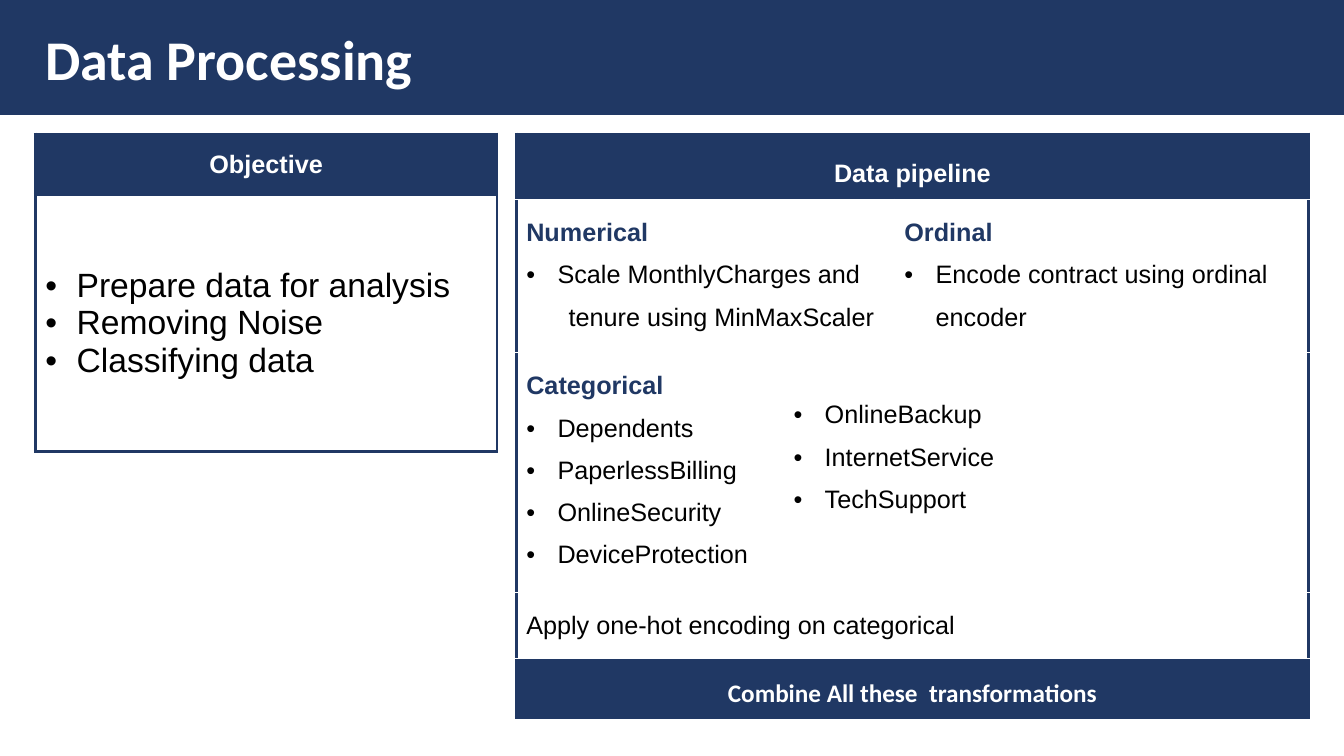
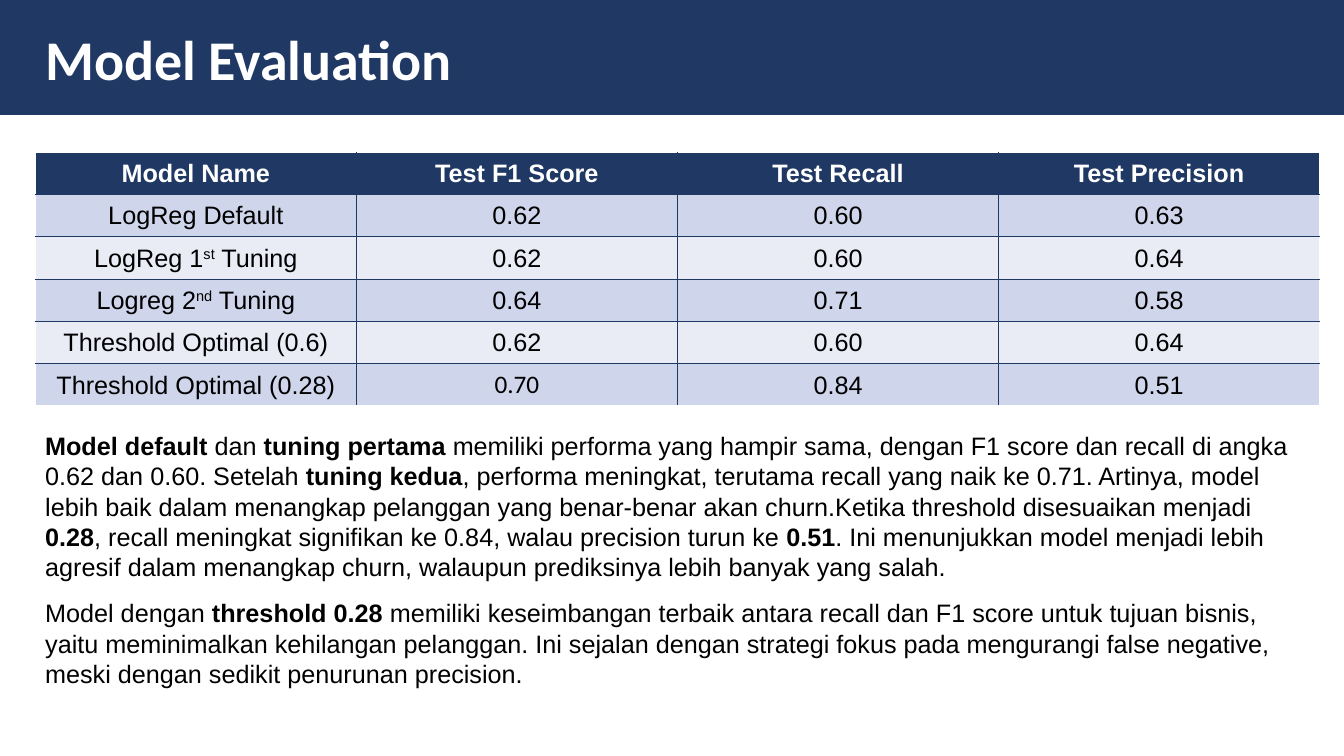
from dataclasses import dataclass
from lxml import etree
from pptx import Presentation
from pptx.dml.color import RGBColor
from pptx.enum import shapes, text
from pptx.oxml import ns
from pptx.util import Inches, Pt

NAVY = RGBColor(0x20, 0x38, 0x64)
WHITE = RGBColor(0xFF, 0xFF, 0xFF)
BLACK = RGBColor(0, 0, 0)
BAND_DARK = RGBColor(0xCF, 0xD5, 0xEA)
BAND_LIGHT = RGBColor(0xE9, 0xEB, 0xF5)

SLIDE_WIDTH = 13.33
MARGIN = 0.35
CONTENT_WIDTH = 12.74
HANGING = 0.31
CENTER = text.PP_ALIGN.CENTER
MIDDLE = text.MSO_ANCHOR.MIDDLE
TOP = text.MSO_ANCHOR.TOP


@dataclass
class Line:
    """One paragraph; *...* toggles bold and ^...^ toggles superscript."""
    text: str
    size: int = 18
    color: RGBColor = BLACK
    font: str = "Arial"
    spacing: float = 1.0
    align: text.PP_ALIGN = text.PP_ALIGN.LEFT
    bullet: bool = False
    indent: float = 0


def heading(words, **options):
    return Line(f"*{words}*", color=WHITE, align=CENTER, **options)


def step(words, **options):
    return Line(words, spacing=1.5, **options)


def bullets(*items, **options):
    return [Line(item, bullet=True, indent=HANGING, **options) for item in items]


def write_runs(paragraph, line):
    for b, bold_part in enumerate(line.text.split("*")):
        for s, part in enumerate(bold_part.split("^")):
            if not part:
                continue
            run = paragraph.add_run()
            run.text = part
            run.font.name = line.font
            run.font.size = Pt(line.size)
            run.font.color.rgb = line.color
            run.font.bold = b % 2 == 1
            if s % 2:
                run.font._element.set("baseline", "30000")


def write_lines(frame, lines):
    for index, line in enumerate(lines):
        paragraph = frame.add_paragraph() if index else frame.paragraphs[0]
        paragraph.alignment = line.align
        paragraph.line_spacing = line.spacing
        paragraph.space_before = paragraph.space_after = Pt(0)
        write_runs(paragraph, line)
        properties = paragraph._p.get_or_add_pPr()
        properties.set("marL", str(Inches(line.indent)))
        properties.set("indent", str(-Inches(line.indent) if line.bullet else 0))
        if line.bullet:
            etree.SubElement(properties, ns.qn("a:buFont")).set("typeface", "Arial")
            etree.SubElement(properties, ns.qn("a:buChar")).set("char", "•")


def add_titled_slide(presentation, title):
    slide = presentation.slides.add_slide(presentation.slide_layouts[5])
    band = slide.shapes.add_shape(shapes.MSO_SHAPE.RECTANGLE, 0, 0,
                                  Inches(SLIDE_WIDTH), Inches(1.14))
    band.shadow.inherit = False
    band.fill.solid()
    band.fill.fore_color.rgb = NAVY
    band.line.fill.background()
    slide.shapes._spTree.insert(2, band._element)

    placeholder = slide.shapes.title
    placeholder.left, placeholder.top = Inches(MARGIN), Inches(0.19)
    placeholder.width, placeholder.height = Inches(CONTENT_WIDTH), Inches(0.77)
    frame = placeholder.text_frame
    frame.vertical_anchor = MIDDLE
    frame.auto_size = text.MSO_AUTO_SIZE.NONE
    write_lines(frame, [Line(f"*{title}*", size=40, color=WHITE, font="Calibri")])
    return slide


def add_plain_table(slide, left, top, widths, heights):
    frame = slide.shapes.add_table(
        len(heights), len(widths), Inches(left), Inches(top),
        Inches(sum(widths)), Inches(sum(heights)))
    table = frame.table
    table.first_row = table.horz_banding = False
    for column, width in zip(table.columns, widths):
        column.width = Inches(width)
    for row, height in zip(table.rows, heights):
        row.height = Inches(height)
    return table


def fill_cell(cell, lines, fill=WHITE, anchor=TOP):
    cell.fill.solid()
    cell.fill.fore_color.rgb = fill
    cell.vertical_anchor = anchor
    write_lines(cell.text_frame, lines)


def draw_borders(table, width, outer, inner):
    """Rule the outer frame, the inner grid, or both."""
    last_row, last_column = len(table.rows) - 1, len(table.columns) - 1
    for r, row in enumerate(table.rows):
        for c, cell in enumerate(row.cells):
            right = c + (cell.span_width if cell.is_merge_origin else 1) - 1
            on_edge = {"a:lnL": c == 0, "a:lnR": right == last_column,
                       "a:lnT": r == 0, "a:lnB": r == last_row}
            sides = [side for side, edge in on_edge.items()
                     if (outer if edge else inner)]
            properties = cell._tc.get_or_add_tcPr()
            for position, side in enumerate(sides):
                border = etree.Element(ns.qn(side), w=str(Pt(width)))
                solid = etree.SubElement(border, ns.qn("a:solidFill"))
                etree.SubElement(solid, ns.qn("a:srgbClr")).set("val", str(NAVY))
                properties.insert(position, border)


def add_objective(slide, left, top):
    table = add_plain_table(slide, left, top, [4.58], [0.6, 2.55])
    fill_cell(table.cell(0, 0), [heading("Objective")], NAVY, MIDDLE)
    goals = bullets("Prepare data for analysis", "Removing Noise",
                    "Classifying data", size=24)
    fill_cell(table.cell(1, 0), goals, anchor=MIDDLE)
    draw_borders(table, 2.25, outer=True, inner=True)


def add_pipeline(slide, left, top):
    table = add_plain_table(slide, left, top, [2.65, 1.1, 4.11],
                            [0.65, 1.52, 2.38, 0.65, 0.59])
    for row, first, last in [(0, 0, 2), (1, 0, 1), (2, 1, 2), (3, 0, 2), (4, 0, 2)]:
        table.cell(row, first).merge(table.cell(row, last))

    fill_cell(table.cell(0, 0), [heading("Data pipeline", spacing=1.5)], NAVY, MIDDLE)
    fill_cell(table.cell(1, 0), [
        step("*Numerical*", color=NAVY),
        *bullets("Scale MonthlyCharges and", spacing=1.5),
        step("tenure using MinMaxScaler", indent=0.42)])
    fill_cell(table.cell(1, 2), [
        step("*Ordinal*", color=NAVY),
        *bullets("Encode contract using ordinal encoder", spacing=1.5)])
    fill_cell(table.cell(2, 0), [
        step("*Categorical*", color=NAVY),
        *bullets("Dependents", "PaperlessBilling", "OnlineSecurity",
                 "DeviceProtection", spacing=1.5)])
    more_features = table.cell(2, 1)
    more_features.margin_top = Inches(0.34)
    fill_cell(more_features, bullets("OnlineBackup", "InternetService",
                                     "TechSupport", spacing=1.5))
    fill_cell(table.cell(3, 0), [step("Apply one-hot encoding on categorical")])
    fill_cell(table.cell(4, 0), [heading("Combine All these  transformations",
                                         font="Calibri", spacing=1.5)], NAVY)
    draw_borders(table, 2.25, outer=True, inner=False)


SCORES = [
    ("Model Name", "Test F1 Score", "Test Recall", "Test Precision"),
    ("LogReg Default", "0.62", "0.60", "0.63"),
    ("LogReg 1^st^ Tuning", "0.62", "0.60", "0.64"),
    ("Logreg 2^nd^ Tuning", "0.64", "0.71", "0.58"),
    ("Threshold Optimal (0.6)", "0.62", "0.60", "0.64"),
    ("Threshold Optimal (0.28)", "0.70", "0.84", "0.51"),
]


def add_scores(slide, left, top, width):
    columns = len(SCORES[0])
    table = add_plain_table(slide, left, top, [width / columns] * columns,
                            [0.42] * len(SCORES))
    for r, record in enumerate(SCORES):
        fill = BAND_DARK if r % 2 else BAND_LIGHT
        for c, value in enumerate(record):
            cell = table.cell(r, c)
            cell.margin_left = cell.margin_right = cell.margin_top = Inches(0.01)
            cell.margin_bottom = 0
            if r == 0:
                fill_cell(cell, [heading(value)], NAVY, MIDDLE)
            else:
                font = "Calibri" if value == "0.70" else "Arial"
                fill_cell(cell, [Line(value, font=font, align=CENTER)], fill, MIDDLE)
    draw_borders(table, 1, outer=False, inner=True)


def add_commentary(slide, left, top, width, height, words):
    box = slide.shapes.add_textbox(Inches(left), Inches(top),
                                   Inches(width), Inches(height))
    box.text_frame.word_wrap = True
    write_lines(box.text_frame, [Line(words)])


def build_processing(presentation):
    slide = add_titled_slide(presentation, "Data Processing")
    add_objective(slide, MARGIN, 1.33)
    add_pipeline(slide, 5.12, 1.33)


def build_evaluation(presentation):
    slide = add_titled_slide(presentation, "Model Evaluation")
    add_scores(slide, MARGIN, 1.51, CONTENT_WIDTH)
    add_commentary(
        slide, MARGIN, 4.22, CONTENT_WIDTH, 1.62,
        "*Model default *dan *tuning pertama *memiliki performa yang hampir sama, "
        "dengan F1 score dan recall di angka 0.62 dan 0.60. Setelah *tuning kedua*, "
        "performa meningkat, terutama recall yang naik ke 0.71. Artinya, model lebih "
        "baik dalam menangkap pelanggan yang benar-benar akan churn.Ketika threshold "
        "disesuaikan menjadi *0.28*, recall meningkat signifikan ke 0.84, walau "
        "precision turun ke *0.51*. Ini menunjukkan model menjadi lebih agresif dalam "
        "menangkap churn, walaupun prediksinya lebih banyak yang salah.")
    add_commentary(
        slide, MARGIN, 5.88, CONTENT_WIDTH, 1.01,
        "Model dengan *threshold 0.28 *memiliki keseimbangan terbaik antara recall dan "
        "F1 score untuk tujuan bisnis, yaitu meminimalkan kehilangan pelanggan. Ini "
        "sejalan dengan strategi fokus pada mengurangi false negative, meski dengan "
        "sedikit penurunan precision.")


def main():
    presentation = Presentation()
    presentation.slide_width = Inches(SLIDE_WIDTH)
    presentation.slide_height = Inches(7.5)
    build_processing(presentation)
    build_evaluation(presentation)
    presentation.save("out.pptx")


if __name__ == "__main__":
    main()
